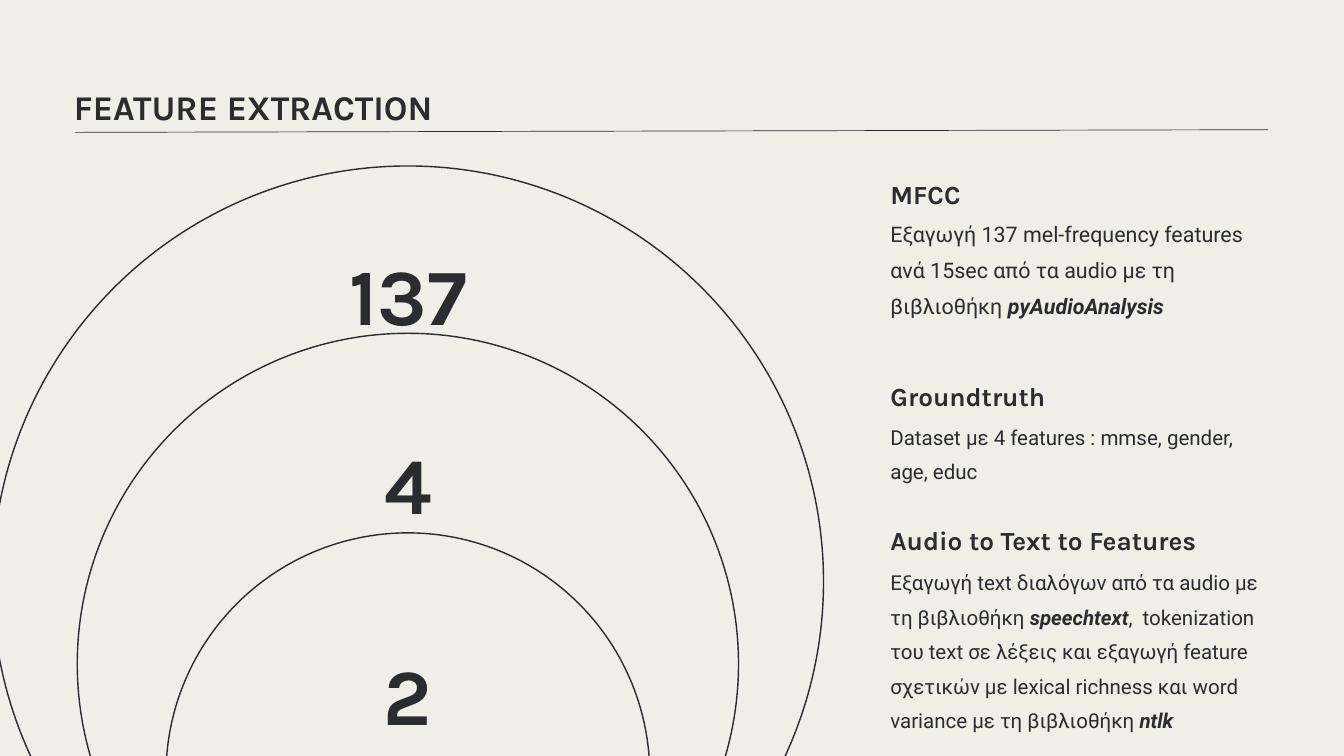
from lxml.etree import SubElement
from pptx import Presentation
from pptx.dml.color import RGBColor
from pptx.enum.shapes import MSO_CONNECTOR, MSO_SHAPE
from pptx.enum.text import MSO_AUTO_SIZE as AutoSize, PP_ALIGN as Align
from pptx.oxml.ns import qn
from pptx.util import Inches, Pt

PAPER = RGBColor(0xEF, 0xEE, 0xE7)
INK = RGBColor(0x2B, 0x2C, 0x30)
HEAD_FONT, BODY_FONT = "Karla", "Roboto"

COLS, ROWS = 80, 45
CELL = 0.25  # inches, the side of one grid square

CENTRE = 24.28  # column shared by the circles and their numbers
NUMBER_WIDTH, NUMBER_HEIGHT = 22.4, 5.76
NOTE_LEFT, NOTE_WIDTH = 53, 22.52

# circle top, diameter, number, number top
RINGS = [
    (9.88, 49.48, "137", 11.2),
    (19.84, 39.36, "4", 22.48),
    (31.72, 28.8, "2", 35.04),
]

# heading, top, height; body top, height, size, runs as (text, emphasised)
NOTES = [
    ("MFCC", 9.88, 1.88, 12.56, 5.88, 23, [
        ("Εξαγωγή 137 mel-frequency features ανά 15sec από τα audio "
         "με τη βιβλιοθήκη ", False),
        ("pyAudioAnalysis", True),
    ]),
    ("Groundtruth", 21.92, 1.88, 24.68, 3.56, 22, [
        ("Dataset με 4 features : mmse, gender, age, educ", False),
    ]),
    ("Audio to Text to Features", 30.48, 4.52, 33.36, 9.76, 22, [
        ("Εξαγωγή text διαλόγων από τα audio με τη βιβλιοθήκη ", False),
        ("speechtext", True),
        (",  tokenization του text σε λέξεις και εξαγωγή feature σχετικών "
         "με lexical richness και word variance με τη βιβλιοθήκη ", False),
        ("ntlk", True),
    ]),
]


def grid(*cells):
    """Turn counts of columns or rows into lengths."""
    return [Inches(n * CELL) for n in cells]


def add_run(p, text, *, font=HEAD_FONT, size=28, bold=True, italic=False):
    r = p.add_run()
    r.text = text
    r.font.name, r.font.size = font, Pt(size)
    r.font.bold, r.font.italic = bold, italic
    r.font.color.rgb = INK


class Deck:
    """Holds the style and the current slide; places are in grid squares."""

    def __init__(self):
        self.prs = Presentation()
        self.prs.slide_width, self.prs.slide_height = grid(COLS, ROWS)
        self.s = self.prs.slides.add_slide(self.prs.slide_layouts[6])
        fill = self.s.background.fill
        fill.solid()
        fill.fore_color.rgb = PAPER

    def rule(self, x1, y1, x2, y2):
        line = self.s.shapes.add_connector(
            MSO_CONNECTOR.STRAIGHT, *grid(x1, y1, x2, y2))
        line.line.color.rgb = INK
        line.line.width = Pt(0.75)
        SubElement(line._element.spPr, qn("a:effectLst"))

    def circle(self, centre, top, diameter):
        sp = self.s.shapes.add_shape(
            MSO_SHAPE.OVAL,
            *grid(centre - diameter / 2, top, diameter, diameter))
        sp.shadow.inherit = False
        sp.fill.background()
        sp.line.color.rgb = INK
        sp.line.width = Pt(1.5)

    def paragraph(self, x, y, w, h, *, spacing=1.4, align=Align.LEFT):
        """Add a text box without margins and return its paragraph."""
        tf = self.s.shapes.add_textbox(*grid(x, y, w, h)).text_frame
        tf.margin_left = tf.margin_right = 0
        tf.margin_top = tf.margin_bottom = 0
        tf.word_wrap = True
        tf.auto_size = AutoSize.SHAPE_TO_FIT_TEXT
        p = tf.paragraphs[0]
        p.line_spacing, p.alignment = spacing, align
        return p

    def title(self, text):
        add_run(self.paragraph(4.4, 4.12, 71, 2.52), text, size=37.1)

    def number(self, text, top):
        p = self.paragraph(CENTRE - NUMBER_WIDTH / 2, top, NUMBER_WIDTH,
                           NUMBER_HEIGHT, spacing=1.6, align=Align.CENTER)
        add_run(p, text, size=85.4)

    def note(self, heading, top, height, body_top, body_height, size, runs):
        add_run(self.paragraph(NOTE_LEFT, top, NOTE_WIDTH, height), heading)
        p = self.paragraph(NOTE_LEFT, body_top, NOTE_WIDTH, body_height)
        for text, strong in runs:
            add_run(p, text, font=BODY_FONT, size=size,
                    bold=strong, italic=strong)


def main():
    deck = Deck()
    deck.rule(4.48, 7.88, 75.48, 7.72)
    deck.title("FEATURE EXTRACTION")
    for top, diameter, _, _ in RINGS:
        deck.circle(CENTRE, top, diameter)
    for _, _, text, top in RINGS:
        deck.number(text, top)
    for note in NOTES:
        deck.note(*note)
    deck.prs.save("out.pptx")


if __name__ == "__main__":
    main()
